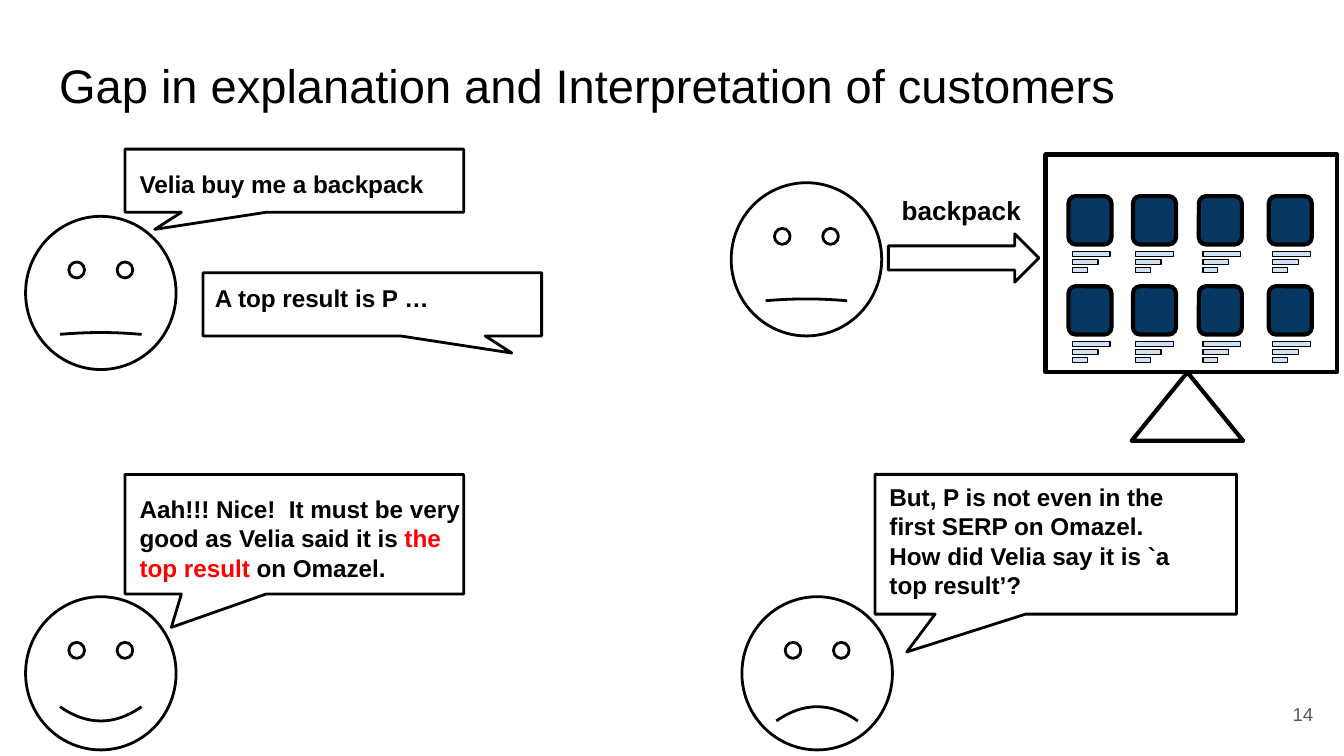
from pptx import Presentation
from pptx.dml.color import RGBColor
from pptx.enum.shapes import MSO_SHAPE as SHAPE
from pptx.enum.text import MSO_ANCHOR as ANCHOR, PP_ALIGN as ALIGN
from pptx.util import Inches, Pt


def draw(kind, x, y, w, h, adj=(), fill=None, line=1.5):
    shape = slide.shapes.add_shape(kind, Inches(x), Inches(y), Inches(w), Inches(h))
    shape.shadow.inherit = False
    for i, value in enumerate(adj):
        shape.adjustments[i] = value
    if fill:
        shape.fill.solid()
        shape.fill.fore_color.rgb = RGBColor.from_string(fill)
    else:
        shape.fill.background()
    shape.line.color.rgb = RGBColor.from_string("000000")
    shape.line.width = Pt(line)


def write(box, runs, size, bold=False):
    frame = box.text_frame
    frame.word_wrap = True
    frame.margin_left = frame.margin_right = Inches(0.1)
    frame.margin_top = frame.margin_bottom = Inches(0.1)
    for text, color in runs:
        run = frame.paragraphs[0].add_run()
        run.text = text
        run.font.name = "Arial"
        run.font.size = Pt(size)
        run.font.bold = bold
        run.font.color.rgb = RGBColor.from_string(color)
    return frame


deck = Presentation()
deck.slide_width = Inches(10)
deck.slide_height = Inches(10 * 9 / 16)
slide = deck.slides.add_slide(deck.slide_layouts[5])

# Title
title = slide.shapes.title
title.left, title.top = Inches(0.34), Inches(0.32)
title.width, title.height = Inches(9.32), Inches(0.63)
frame = write(title, [("Gap in explanation and Interpretation of customers", "000000")], 25.2)
frame.vertical_anchor = ANCHOR.TOP
frame.paragraphs[0].alignment = ALIGN.LEFT

# Faces: left, top, curve of the mouth
for x, y, smile in [(0.19, 1.61, -0.006), (0.19, 4.44, 0.047),
                    (5.44, 1.36, -0.006), (5.52, 4.44, -0.047)]:
    draw(SHAPE.SMILEY_FACE, x, y, 1.12, 1.14, [smile])

# Speech bubbles: place and tip
for place, tip in [((0.93, 1.11, 2.52, 0.47), (-0.412, 0.771)),
                   ((1.51, 2.03, 2.52, 0.47), (0.412, 0.771)),
                   ((0.93, 3.53, 2.52, 0.89), (-0.363, 0.779)),
                   ((6.51, 3.53, 2.69, 1.04), (-0.412, 0.771))]:
    draw(SHAPE.RECTANGULAR_CALLOUT, *place, tip)

# Screen on its stand
draw(SHAPE.RECTANGLE, 7.78, 1.15, 2.17, 1.62, line=2.25)
draw(SHAPE.ISOSCELES_TRIANGLE, 8.42, 2.77, 0.83, 0.51, line=2.25)

# Search results: a tile with three text bars each
for y in (1.46, 2.13):
    for x, left in [(7.95, 7.98), (8.43, 8.45), (8.92, 8.95), (9.44, 9.47)]:
        draw(SHAPE.ROUNDED_RECTANGLE, x, y, 0.32, 0.36, fill="073763", line=2.25)
        for i, width in enumerate((0.28, 0.19, 0.11)):
            draw(SHAPE.RECTANGLE, left, y + 0.41 + 0.06 * i, width, 0.04,
                 fill="CFE2F3", line=0.75)

# Query arrow
draw(SHAPE.RIGHT_ARROW, 6.61, 1.74, 1.12, 0.36)

# Words
black, red = "000000", "FF0000"
for place, size, runs in [
    ((0.94, 1.16, 2.44, 0.42), 13, [("Velia buy me a backpack", black)]),
    ((1.5, 2.01, 2.14, 0.42), 13, [("A top result is P …", black)]),
    ((0.94, 3.58, 2.69, 0.86), 13, [
        ("Aah!!! Nice!  It must be very good as Velia said it is ", black),
        ("the top result ", red), ("on Omazel.", black)]),
    ((6.52, 3.49, 2.44, 1.08), 13, [
        ("But, P is not even in the first SERP on Omazel. "
         "How did Velia say it is `a top result’?", black)]),
    ((6.61, 1.35, 1.12, 0.44), 14, [("backpack", black)]),
]:
    box = slide.shapes.add_textbox(*map(Inches, place))
    write(box, runs, size, bold=True)

# Slide number
box = slide.shapes.add_textbox(Inches(9.27), Inches(5.1), Inches(0.6), Inches(0.43))
frame = write(box, [("14", "595959")], 10)
frame.vertical_anchor = ANCHOR.MIDDLE
frame.paragraphs[0].alignment = ALIGN.RIGHT

deck.save("out.pptx")
